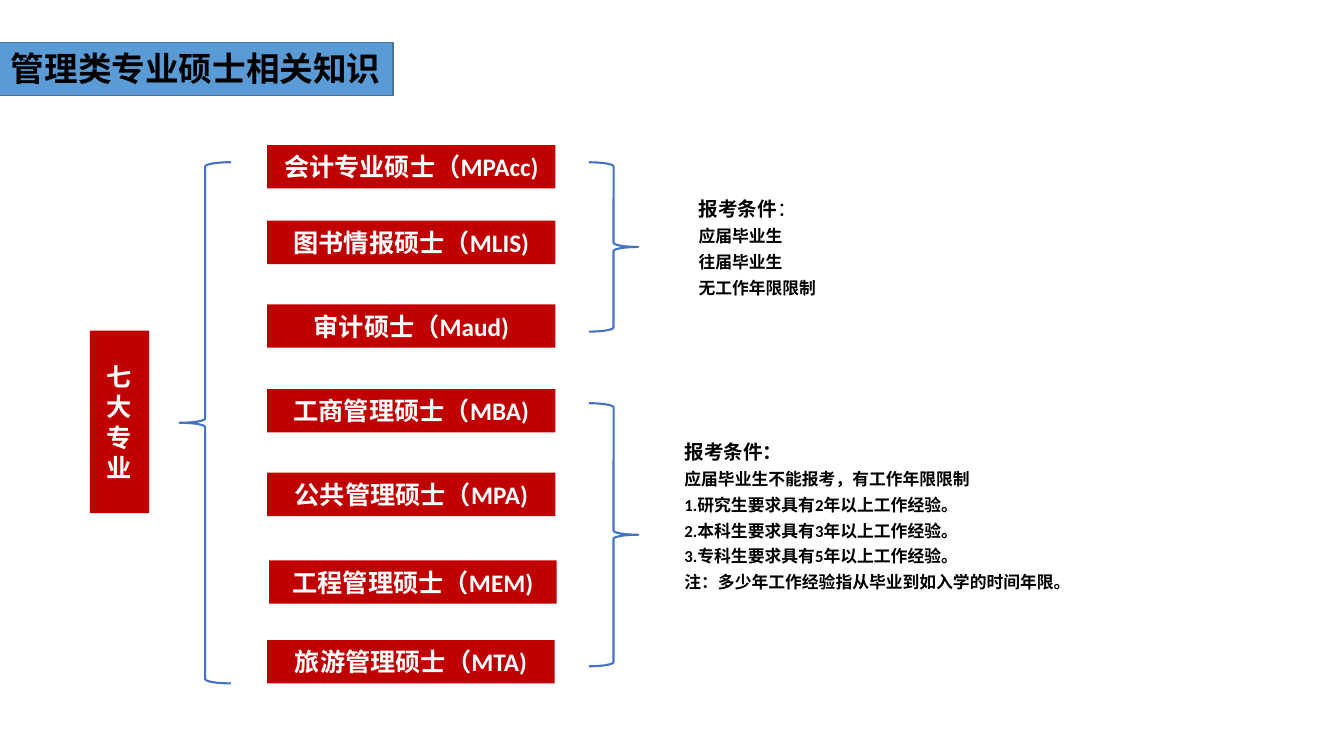
"""Build the slide on professional master's degrees in management."""
from typing import NamedTuple, Optional

from pptx import Presentation
from pptx.dml.color import RGBColor
from pptx.enum.shapes import MSO_SHAPE
from pptx.enum.text import MSO_ANCHOR, MSO_AUTO_SIZE, PP_ALIGN
from pptx.shapes.autoshape import Shape
from pptx.slide import Slide
from pptx.util import Emu, Pt

EMU_PER_PX = 9144
LATIN, HAN = "Calibri", "Noto Sans CJK SC"
RED, BLUE, WHITE, BLACK = "C00000", "4472C4", "FFFFFF", "000000"


class Area(NamedTuple):
    """A rectangle in px, at 100 px to the inch."""
    left: int
    top: int
    width: int
    height: int


class Words(NamedTuple):
    """A run of text with its style."""
    text: str
    size: int = 12
    font: str = LATIN
    bold: bool = True
    color: str = BLACK


class Label(NamedTuple):
    """A red box with white wording."""
    text: str
    area: Area


class Brace(NamedTuple):
    """A brace that gathers a group of degrees."""
    kind: MSO_SHAPE
    area: Area


class Note(NamedTuple):
    """A block of text, one tuple of runs per paragraph."""
    area: Area
    lines: list[tuple[Words, ...]]
    spacing: Optional[float] = None


LABELS = [
    Label("会计专业硕士（MPAcc)", Area(265, 144, 286, 43)),
    Label("图书情报硕士（MLIS)", Area(265, 219, 286, 43)),
    Label("审计硕士（Maud)", Area(265, 302, 286, 43)),
    Label("工商管理硕士（MBA)", Area(265, 386, 286, 43)),
    Label("公共管理硕士（MPA)", Area(265, 469, 286, 43)),
    Label("工程管理硕士（MEM)", Area(267, 556, 285, 43)),
    Label("旅游管理硕士（MTA)", Area(265, 635, 285, 43)),
    Label("七大专业", Area(89, 328, 59, 181)),
]
BRACES = [
    Brace(MSO_SHAPE.LEFT_BRACE, Area(178, 161, 51, 517)),
    Brace(MSO_SHAPE.RIGHT_BRACE, Area(584, 161, 49, 168)),
    Brace(MSO_SHAPE.RIGHT_BRACE, Area(584, 400, 49, 261)),
]
NOTES = [
    Note(Area(1, 43, 400, 50), [(Words("管理类专业硕士相关知识", 24),)]),
    Note(Area(683, 188, 150, 113), [
        (Words("报考条件", 14, HAN), Words("：", 14, bold=False)),
        (Words("应届毕业生"),),
        (Words("往届毕业生"),),
        (Words("无工作年限限制"),),
    ], 18.4),
    Note(Area(669, 429, 507, 165), [
        (Words("报考条件：", 14, HAN),),
        (Words("应届毕业生不能报考，有工作年限限制"),),
        (Words("1.研究生要求具有2年以上工作经验。"),),
        (Words("2.本科生要求具有3年以上工作经验。"),),
        (Words("3.专科生要求具有5年以上工作经验。"),),
        (Words("注：多少年工作经验指从毕业到如入学的时间年限。"),),
    ], 18.4),
]


def rgb(color: str) -> RGBColor:
    """Turn a hex string into a colour."""
    return RGBColor.from_string(color)


def emu(area: Area) -> list[Emu]:
    """Turn an area in px into EMU lengths."""
    return [Emu(px * EMU_PER_PX) for px in area]


def add_run(paragraph, words: Words) -> None:
    """Append one styled run to a paragraph."""
    run = paragraph.add_run()
    run.text = words.text
    run.font.size = Pt(words.size)
    run.font.name = words.font
    run.font.bold = words.bold
    run.font.color.rgb = rgb(words.color)


def draw_shape(slide: Slide, kind: MSO_SHAPE, area: Area, fill: Optional[str] = None,
               line: Optional[str] = None, weight: float = 1) -> Shape:
    """Draw a preset shape with an optional fill and outline."""
    shape = slide.shapes.add_shape(kind, *emu(area))
    shape.shadow.inherit = False
    if fill:
        shape.fill.solid()
        shape.fill.fore_color.rgb = rgb(fill)
    else:
        shape.fill.background()
    if line:
        shape.line.color.rgb = rgb(line)
        shape.line.width = Pt(weight)
    else:
        shape.line.fill.background()
    return shape


def draw_label(slide: Slide, label: Label) -> None:
    """Draw a red box with centred wording."""
    frame = draw_shape(slide, MSO_SHAPE.RECTANGLE, label.area, RED).text_frame
    frame.word_wrap = True
    frame.vertical_anchor = MSO_ANCHOR.MIDDLE
    frame.paragraphs[0].alignment = PP_ALIGN.CENTER
    add_run(frame.paragraphs[0], Words(label.text, 18, color=WHITE))


def draw_note(slide: Slide, note: Note) -> None:
    """Draw a block of text."""
    frame = slide.shapes.add_textbox(*emu(note.area)).text_frame
    frame.word_wrap = True
    frame.auto_size = MSO_AUTO_SIZE.SHAPE_TO_FIT_TEXT
    for index, line in enumerate(note.lines):
        paragraph = frame.add_paragraph() if index else frame.paragraphs[0]
        if note.spacing:
            paragraph.line_spacing = Pt(note.spacing)
        for words in line:
            add_run(paragraph, words)


def main() -> None:
    """Build and save the slide."""
    deck = Presentation()
    deck.slide_width, deck.slide_height = Emu(1333 * EMU_PER_PX), Emu(750 * EMU_PER_PX)
    slide = deck.slides.add_slide(deck.slide_layouts[6])
    draw_shape(slide, MSO_SHAPE.RECTANGLE, Area(-1, 42, 391, 53), "5B9BD5", "43739E")
    for label in LABELS:
        draw_label(slide, label)
    for brace in BRACES:
        draw_shape(slide, brace.kind, brace.area, line=BLUE, weight=1.5)
    for note in NOTES:
        draw_note(slide, note)
    deck.save("out.pptx")


if __name__ == "__main__":
    main()
